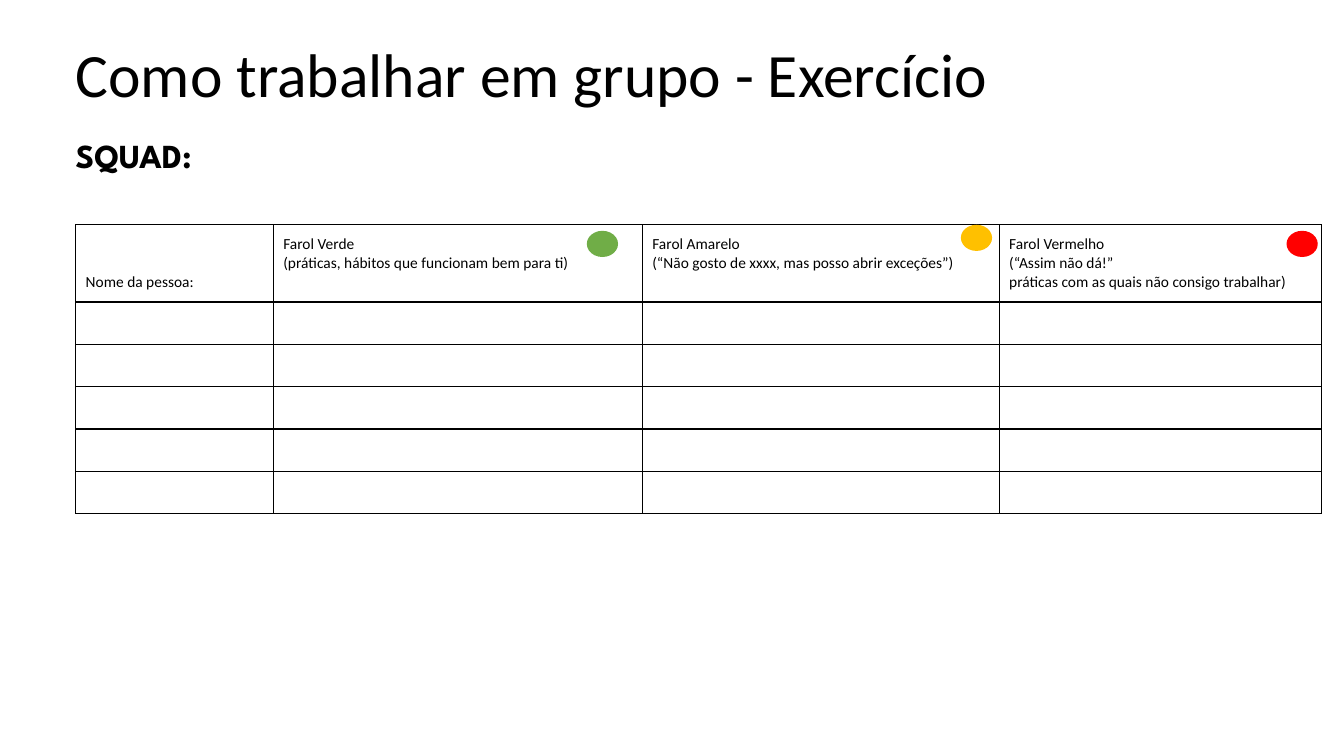
from dataclasses import dataclass

from lxml import etree
from pptx import Presentation
from pptx.dml.color import RGBColor
from pptx.enum.shapes import MSO_SHAPE
from pptx.enum.text import MSO_ANCHOR, PP_ALIGN
from pptx.oxml.ns import qn
from pptx.util import Inches, Pt


@dataclass(frozen=True)
class Theme:
    ink: str = "000000"
    paper: str = "FFFFFF"
    green: str = "70AD47"
    amber: str = "FFC000"
    red: str = "FF0000"
    body_font: str = "Calibri"
    squad_font: str = "League Spartan"
    title_size: int = 44
    squad_size: int = 24
    header_size: int = 11
    border_width: int = 1


THEME = Theme()
LEFT = 0.75
COLUMN_WIDTHS = [1.96, 3.66, 3.54, 3.2]
ROW_HEIGHTS = [0.76] + [0.42] * 5
HEADERS = [
    "Nome da pessoa:",
    "Farol Verde \v(práticas, hábitos que funcionam bem para ti)",
    "Farol Amarelo\v(“Não gosto de xxxx, mas posso abrir exceções”)",
    "Farol Vermelho\v(“Assim não dá!”\vpráticas com as quais não consigo trabalhar)",
]
LIGHTS = [(5.82, 2.29, THEME.green), (9.53, 2.23, THEME.amber), (12.76, 2.29, THEME.red)]


def box(left, top, width, height):
    return [Inches(value) for value in (left, top, width, height)]


def write(frame, text, size, font=THEME.body_font, bold=False):
    frame.text = text
    paragraph = frame.paragraphs[0]
    paragraph.alignment = PP_ALIGN.LEFT
    for run in paragraph.runs:
        run.font.size = Pt(size)
        run.font.name = font
        run.font.bold = bold
        run.font.color.rgb = RGBColor.from_string(THEME.ink)
    return paragraph


def set_margins(target, left, other):
    target.margin_left = Inches(left)
    target.margin_top = target.margin_right = target.margin_bottom = Inches(other)


def add_title(slide, text):
    title = slide.shapes.title
    title.left, title.top, title.width, title.height = box(LEFT, 0.4, 11.03, 0.74)
    frame = title.text_frame
    set_margins(frame, 0, 0)
    frame.vertical_anchor = MSO_ANCHOR.MIDDLE
    write(frame, text, THEME.title_size).line_spacing = 0.9


def add_squad_label(slide, text):
    frame = slide.shapes.add_textbox(*box(LEFT, 1.24, 7.82, 0.57)).text_frame
    frame.word_wrap = True
    set_margins(frame, 0, 0.1)
    write(frame, text, THEME.squad_size, THEME.squad_font, True)


def style_cell(cell):
    properties = cell._tc.get_or_add_tcPr()
    for side in ("a:lnL", "a:lnR", "a:lnT", "a:lnB"):
        line = etree.SubElement(properties, qn(side), w=str(Pt(THEME.border_width)))
        fill = etree.SubElement(line, qn("a:solidFill"))
        etree.SubElement(fill, qn("a:srgbClr"), val=THEME.ink)
    cell.fill.solid()
    cell.fill.fore_color.rgb = RGBColor.from_string(THEME.paper)


def add_people_table(slide):
    shape = slide.shapes.add_table(
        len(ROW_HEIGHTS), len(COLUMN_WIDTHS),
        *box(LEFT, 2.23, sum(COLUMN_WIDTHS), sum(ROW_HEIGHTS)))
    table = shape.table
    table.horz_banding = False
    for column, width in zip(table.columns, COLUMN_WIDTHS):
        column.width = Inches(width)
    for row, height in zip(table.rows, ROW_HEIGHTS):
        row.height = Inches(height)
    for cell in table.iter_cells():
        style_cell(cell)
    for cell, text in zip(table.rows[0].cells, HEADERS):
        set_margins(cell, 0.1, 0.1)
        write(cell.text_frame, text, THEME.header_size)
    table.cell(0, 0).vertical_anchor = MSO_ANCHOR.BOTTOM


def add_light(slide, left, top, color):
    light = slide.shapes.add_shape(MSO_SHAPE.OVAL, *box(left, top, 0.31, 0.26))
    light.shadow.inherit = False
    light.fill.solid()
    light.fill.fore_color.rgb = RGBColor.from_string(color)
    light.line.fill.background()


def main():
    presentation = Presentation()
    presentation.slide_width = Inches(13.33)
    presentation.slide_height = Inches(7.5)
    slide = presentation.slides.add_slide(presentation.slide_layouts.get_by_name("Title Only"))
    add_title(slide, "Como trabalhar em grupo - Exercício")
    add_people_table(slide)
    add_squad_label(slide, "SQUAD: ")
    for light in LIGHTS:
        add_light(slide, *light)
    presentation.save("out.pptx")


main()
